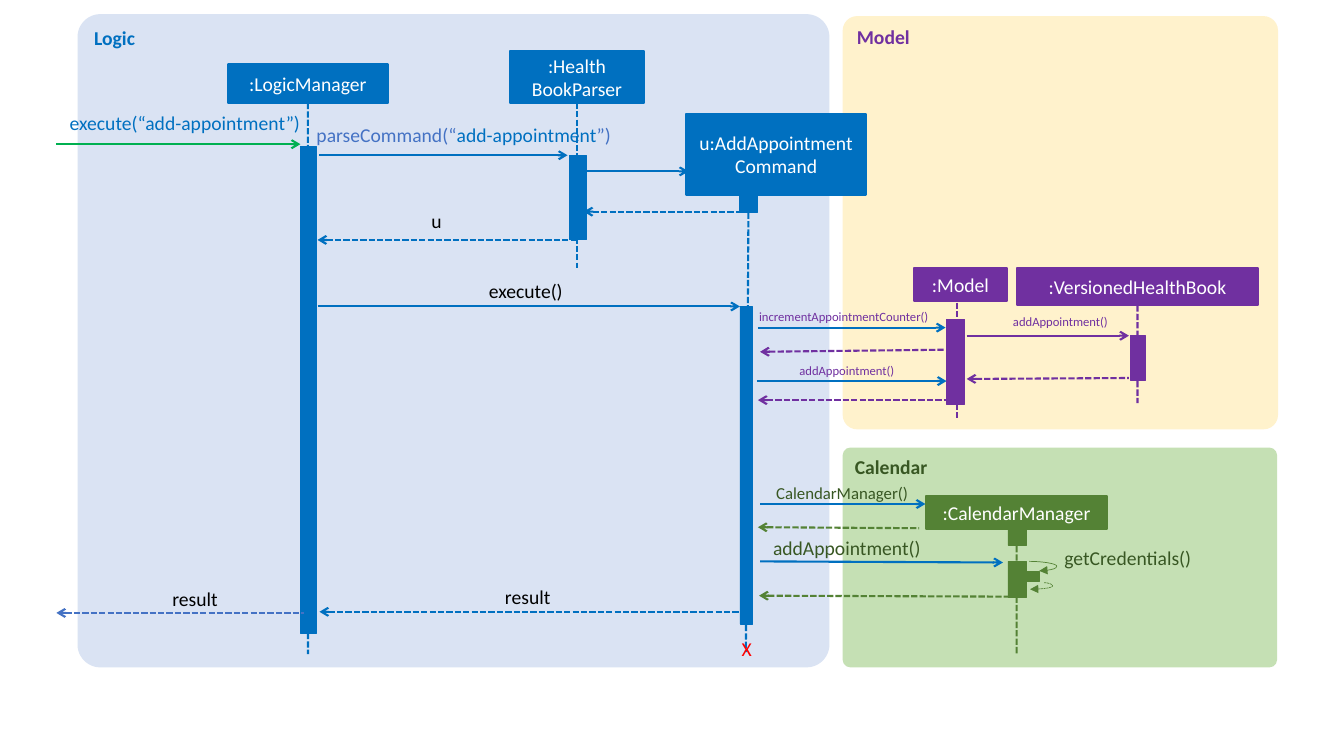
from dataclasses import dataclass
from typing import Optional

from lxml import etree
from pptx import Presentation
from pptx.dml.color import RGBColor
from pptx.enum.dml import MSO_LINE
from pptx.enum.shapes import MSO_CONNECTOR, MSO_SHAPE
from pptx.enum.text import MSO_ANCHOR, MSO_AUTO_SIZE, PP_ALIGN
from pptx.oxml.ns import qn
from pptx.util import Pt

RECT, ROUND = MSO_SHAPE.RECTANGLE, MSO_SHAPE.ROUNDED_RECTANGLE
STRAIGHT, CURVE = MSO_CONNECTOR.STRAIGHT, MSO_CONNECTOR.CURVE
DASH = MSO_LINE.SQUARE_DOT
TOP, MIDDLE = MSO_ANCHOR.TOP, MSO_ANCHOR.MIDDLE
LEFT, CENTER, RIGHT = PP_ALIGN.LEFT, PP_ALIGN.CENTER, PP_ALIGN.RIGHT
FIT = MSO_AUTO_SIZE.SHAPE_TO_FIT_TEXT

BLUE = RGBColor(0x00, 0x70, 0xC0)
SOFT = RGBColor(0x44, 0x72, 0xC4)
GREEN = RGBColor(0x00, 0xB0, 0x50)
PURPLE = RGBColor(0x70, 0x30, 0xA0)
OLIVE = RGBColor(0x54, 0x82, 0x35)
FOREST = RGBColor(0x38, 0x57, 0x23)
RED = RGBColor(0xFF, 0x00, 0x00)
BLACK = RGBColor(0x00, 0x00, 0x00)
WHITE = RGBColor(0xFF, 0xFF, 0xFF)
PALE = RGBColor(0xDA, 0xE3, 0xF3)
CREAM = RGBColor(0xFF, 0xF2, 0xCC)
MINT = RGBColor(0xC5, 0xE0, 0xB4)


@dataclass
class Panel:
    name: str
    x: float
    y: float
    w: float
    h: float
    fill: RGBColor
    ink: RGBColor


@dataclass
class Box:
    x: float
    y: float
    w: float
    h: float
    fill: RGBColor = BLUE
    text: str = ""
    foot: Optional[tuple[float, float]] = None  # end of the lifeline below


@dataclass
class Call:
    x: float
    y: float
    end: float
    ink: RGBColor = BLUE
    reply: bool = False
    drop: float = 0


@dataclass
class Loop:
    x: float
    y: float
    end: float
    low: float
    bend: int
    dash: bool = False


@dataclass
class Label:
    text: str
    x: float
    y: float
    w: float
    ink: RGBColor = BLACK
    size: float = 14
    align: PP_ALIGN = LEFT
    inset: float = 0


PANELS = [
    Panel("Model", 601.9, 11.5, 311, 295.2, CREAM, PURPLE),
    Panel("Logic", 55.4, 10.1, 537.1, 466.6, PALE, BLUE),
    Panel("Calendar", 601.9, 319.7, 310.3, 157, MINT, FOREST),
]
BARS = [
    Box(214.6, 104.4, 11.5, 347.8),
    Box(406.8, 110.9, 12.2, 60.5),
    Box(528.5, 130.3, 12.2, 21.6, foot=(532.8, 465.8)),
    Box(528.5, 218.9, 8.6, 226.8),
    Box(676.1, 228.2, 13, 60.5, PURPLE),
    Box(807.8, 239.8, 10.1, 31.7, PURPLE),
    Box(720, 376.6, 13, 13, OLIVE),
    Box(720, 401, 13, 25.9, OLIVE),
    Box(732.2, 408.2, 10.1, 7.2, OLIVE),
]
CALLS = [
    Call(40.3, 103, 214.6, GREEN),
    Call(228.2, 110.9, 405.4),
    Call(419, 122.4, 491.8),
    Call(416.9, 151.2, 535, reply=True),
    Call(226.8, 171.4, 411.8, reply=True),
    Call(226.8, 218.9, 528.5),
    Call(541.4, 234, 675.4),
    Call(690.5, 239.8, 806.4, PURPLE),
    Call(542.9, 251.3, 675.4, PURPLE, True, -1.5),
    Call(690.5, 270.7, 806.4, PURPLE, True, -0.7),
    Call(540.7, 272.2, 676.1),
    Call(541.4, 285.8, 675.4, PURPLE, True),
    Call(542.9, 360, 661),
    Call(541.4, 376.6, 656.6, OLIVE, True, 0.7),
    Call(542.9, 401, 716.4, drop=0.8),
    Call(542.2, 425.5, 727.2, OLIVE, True, 0.7),
    Call(228.2, 437, 529.9, reply=True),
    Call(40.3, 437.8, 217.4, SOFT, True),
]
HEADS = [
    Box(162.7, 46.1, 114.5, 27.4, BLUE, ":LogicManager", (220, 467.3)),
    Box(364.3, 36.7, 95.8, 36.7, BLUE, ":Health\nBookParser", (412.2, 191.5)),
    Box(490.3, 81.4, 128.2, 57.6, BLUE, "u:AddAppointment\vCommand"),
    Box(653, 191.5, 66.2, 23.8, PURPLE, ":Model"),
    Box(726.5, 191.5, 172.1, 26.6, PURPLE, ":VersionedHealthBook", (812.5, 288)),
    Box(661.7, 354.2, 128.9, 23.8, OLIVE, ":CalendarManager", (726.2, 467.3)),
]
LOOPS = [
    Loop(735.1, 401, 742.3, 407.8, 274800),
    Loop(745.9, 416.2, 735.8, 420.9, -60400, True),
]
LABELS = [
    Label("execute(“add-appointment”)", 29.5, 79.2, 185, BLUE, align=RIGHT),
    Label("u", 308.2, 149, 17.3),
    Label("execute()", 349.2, 199.4, 67.7),
    Label("result", 360.7, 417.6, 49),
    Label("result", 123.1, 419, 59.8),
    Label("incrementAppointmentCounter()", 542.2, 220.3, 126, PURPLE, 9),
    Label("addAppointment()", 723.6, 223.9, 77, PURPLE, 9),
    Label("addAppointment()", 571, 259.2, 108.7, PURPLE, 9),
    Label("CalendarManager()", 554.4, 344.9, 117.4, FOREST, 12),
    Label("addAppointment()", 552.2, 383, 125.3, FOREST),
    Label("getCredentials()", 760.3, 390.2, 95.8, FOREST),
    Label("X", 522.7, 451.4, 21.6, RED, inset=7.2),
]
PARSE = Label("", 226.1, 87.8, 218.9, SOFT)
PARTS = [("parseCommand(“", SOFT), ("add-appointment", BLUE), ("”)", SOFT)]

deck = Presentation()
deck.slide_width, deck.slide_height = Pt(960), Pt(540)
shapes = deck.slides.add_slide(deck.slide_layouts[6]).shapes


def set_font(frame, size: float, ink: RGBColor, align: PP_ALIGN, bold: bool = False) -> None:
    for para in frame.paragraphs:
        para.alignment = align
        font = para.font
        font.name, font.size, font.bold = "Calibri", Pt(size), bold
        font.color.rgb = ink


def draw_panel(panel: Panel) -> None:
    shape = shapes.add_shape(ROUND, Pt(panel.x), Pt(panel.y), Pt(panel.w), Pt(panel.h))
    shape.adjustments[0] = 0.035
    shape.shadow.inherit = False
    shape.fill.solid()
    shape.fill.fore_color.rgb = panel.fill
    shape.line.fill.background()
    shape.text_frame.text = panel.name
    shape.text_frame.vertical_anchor = TOP
    set_font(shape.text_frame, 14, panel.ink, LEFT, True)


def draw_line(kind: MSO_CONNECTOR, x: float, y: float, end: float, low: float,
              ink: RGBColor, width: float, dash: bool, tip: str = "", arrow: str = "arrow"):
    line = shapes.add_connector(kind, Pt(x), Pt(y), Pt(end), Pt(low))
    line.line.color.rgb = ink
    line.line.width = Pt(width)
    if dash:
        line.line.dash_style = DASH
    props = line.element.spPr
    if tip:
        etree.SubElement(props.find(qn("a:ln")), qn(tip), type=arrow)
    etree.SubElement(props, qn("a:effectLst"))
    return line


def draw_box(box: Box) -> None:
    shape = shapes.add_shape(RECT, Pt(box.x), Pt(box.y), Pt(box.w), Pt(box.h))
    shape.shadow.inherit = False
    shape.fill.solid()
    shape.fill.fore_color.rgb = shape.line.color.rgb = box.fill
    shape.line.width = Pt(1.5 if box.text else 0.5)
    if box.text:
        shape.text_frame.text = box.text
        shape.text_frame.vertical_anchor = MIDDLE
        set_font(shape.text_frame, 14, WHITE, CENTER)
    if box.foot:
        life = draw_line(STRAIGHT, box.x + box.w / 2, box.y + box.h, *box.foot, box.fill, 1.5, True)
        life.begin_connect(shape, 2)


def draw_call(call: Call) -> None:
    tip = "a:headEnd" if call.reply else "a:tailEnd"
    draw_line(STRAIGHT, call.x, call.y, call.end, call.y + call.drop, call.ink, 1.5, call.reply, tip)


def draw_loop(loop: Loop) -> None:
    line = draw_line(CURVE, loop.x, loop.y, loop.end, loop.low, OLIVE, 0.5, loop.dash,
                     "a:tailEnd", "triangle")
    guides = line.element.spPr.find(qn("a:prstGeom")).find(qn("a:avLst"))
    etree.SubElement(guides, qn("a:gd"), name="adj1", fmla=f"val {loop.bend}")


def draw_label(label: Label):
    height = label.size * 1.22 + label.inset
    frame = shapes.add_textbox(Pt(label.x), Pt(label.y), Pt(label.w), Pt(height)).text_frame
    frame.word_wrap, frame.auto_size = True, FIT
    frame.margin_left = frame.margin_right = Pt(label.inset)
    frame.margin_top = frame.margin_bottom = Pt(label.inset / 2)
    frame.text = label.text
    set_font(frame, label.size, label.ink, label.align)
    return frame.paragraphs[0]


# Panels, activation bars, messages, then participants on top
for panel in PANELS:
    draw_panel(panel)
for bar in BARS:
    draw_box(bar)
for call in CALLS:
    draw_call(call)
for head in HEADS:
    draw_box(head)
draw_line(STRAIGHT, 683.3, 210.2, 683.3, 299.5, PURPLE, 1.5, True)  # :Model lifeline
for loop in LOOPS:
    draw_loop(loop)

# Message labels
for label in LABELS:
    draw_label(label)
para = draw_label(PARSE)
for text, ink in PARTS:
    run = para.add_run()
    run.text = text
    run.font.color.rgb = ink

deck.save("out.pptx")
